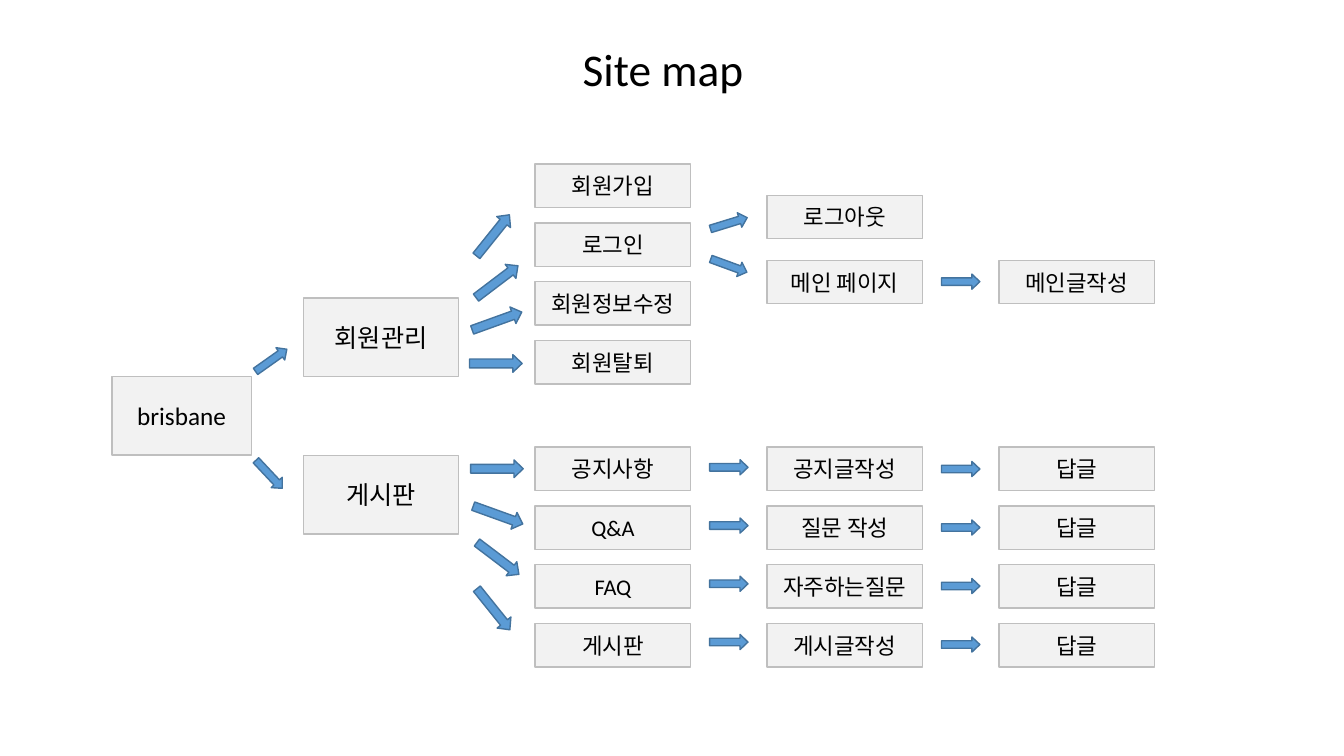
from dataclasses import dataclass
from pptx import Presentation
from pptx.dml.color import RGBColor
from pptx.enum.shapes import MSO_SHAPE
from pptx.enum.text import MSO_ANCHOR, PP_ALIGN
from pptx.util import Pt

# Content: (label, top) for each column of pages
TITLE = "Site map"
ROOT = [("brisbane", 269)]
SECTIONS = [("회원관리", 213), ("게시판", 325.5)]
MEMBER_PAGES = ["회원가입", "로그인", "회원정보수정", "회원탈퇴"]
LOGIN_PAGES = [("로그아웃", 139.5), ("메인 페이지", 186)]
MAIN_POST = [("메인글작성", 186)]
BOARD_ROWS = [
    ("공지사항", "공지글작성", "답글"),
    ("Q&A", "질문 작성", "답글"),
    ("FAQ", "자주하는질문", "답글"),
    ("게시판", "게시글작성", "답글"),
]

# Slanted arrows: (centre x, centre y, rotation)
ROOT_ARROWS = [(193.7, 257.4, -35.3), (192.2, 338.8, 46.8)]
SECTION_ARROWS = [
    (352.1, 168.1, -51.2), (355, 201.2, -37.2), (355, 229.3, -19.8), (354.2, 259.6, 0),
    (355, 334.8, 0), (355.7, 367.9, 19.8), (355.7, 398.9, 37.2), (352.4, 435.2, 51.2),
]
LOGIN_ARROWS = [(520.6, 159.5, -17.1), (520.6, 189.7, 20.1), (686.2, 201.2, 0)]

# Layout in points
COLUMN_LEFT = [80, 216.7, 382.3, 547.9, 713.5]
ROOT_SIZE, SECTION_SIZE, PAGE_SIZE = (99.5, 56), (111, 56), (111, 31)
SMALL_ARROW, LARGE_ARROW = (27.4, 10.8), (37.6, 12.6)
ROW_PITCH = 42
MEMBER_TOP, BOARD_TOP = 117.3, 319.4
BOARD_ARROWS = [(520.6, 333.8, 41.6), (686.2, 335, 41.8)]  # centre x, first y, pitch


@dataclass(frozen=True)
class Theme:
    font: str = "Calibri"
    text: RGBColor = RGBColor(0, 0, 0)
    box_fill: RGBColor = RGBColor(0xF2, 0xF2, 0xF2)
    box_line: RGBColor = RGBColor(0xBF, 0xBF, 0xBF)
    arrow_fill: RGBColor = RGBColor(0x5B, 0x9B, 0xD5)
    arrow_line: RGBColor = RGBColor(0x43, 0x73, 0x9E)
    title_size: float = 32.4
    section_size: float = 18
    page_size: float = 16


THEME = Theme()


def write(shape, words, size):
    frame = shape.text_frame
    frame.text = words
    frame.word_wrap = True
    frame.vertical_anchor = MSO_ANCHOR.MIDDLE
    line = frame.paragraphs[0]
    line.alignment = PP_ALIGN.CENTER
    font = line.runs[0].font
    font.name, font.size = THEME.font, Pt(size)
    font.color.rgb = THEME.text


def add_preset(slide, preset, left, top, size, fill, outline):
    shape = slide.shapes.add_shape(preset, Pt(left), Pt(top), Pt(size[0]), Pt(size[1]))
    shape.shadow.inherit = False
    shape.fill.solid()
    shape.fill.fore_color.rgb = fill
    shape.line.color.rgb = outline
    shape.line.width = Pt(1)
    return shape


def add_pages(slide, column, pages, size=PAGE_SIZE, text_size=THEME.page_size):
    for label, top in pages:
        page = add_preset(slide, MSO_SHAPE.RECTANGLE, COLUMN_LEFT[column], top, size,
                          THEME.box_fill, THEME.box_line)
        write(page, label, text_size)


def add_arrows(slide, arrows, size=SMALL_ARROW):
    for x, y, rotation in arrows:
        arrow = add_preset(slide, MSO_SHAPE.RIGHT_ARROW, x - size[0] / 2, y - size[1] / 2,
                           size, THEME.arrow_fill, THEME.arrow_line)
        arrow.adjustments[1] = 0.525
        arrow.rotation = rotation


def stack(labels, top):
    return [(label, top + row * ROW_PITCH) for row, label in enumerate(labels)]


def main():
    deck = Presentation()
    deck.slide_width, deck.slide_height = Pt(960), Pt(540)
    slide = deck.slides.add_slide(deck.slide_layouts[5])

    # Title
    title = slide.shapes.title
    title.left, title.top, title.width, title.height = Pt(52.5), Pt(29), Pt(842), Pt(39)
    write(title, TITLE, THEME.title_size)

    # Root and sections
    add_pages(slide, 0, ROOT, ROOT_SIZE, THEME.section_size)
    add_pages(slide, 1, SECTIONS, SECTION_SIZE, THEME.section_size)

    # Member pages
    add_pages(slide, 2, stack(MEMBER_PAGES, MEMBER_TOP))
    add_pages(slide, 3, LOGIN_PAGES)
    add_pages(slide, 4, MAIN_POST)

    # Board pages, one column at a time
    for column, labels in enumerate(zip(*BOARD_ROWS), start=2):
        add_pages(slide, column, stack(labels, BOARD_TOP))

    # Arrows
    add_arrows(slide, ROOT_ARROWS + LOGIN_ARROWS)
    add_arrows(slide, SECTION_ARROWS, LARGE_ARROW)
    for x, first, pitch in BOARD_ARROWS:
        add_arrows(slide, [(x, first + row * pitch, 0) for row in range(len(BOARD_ROWS))])

    deck.save("out.pptx")


if __name__ == "__main__":
    main()
